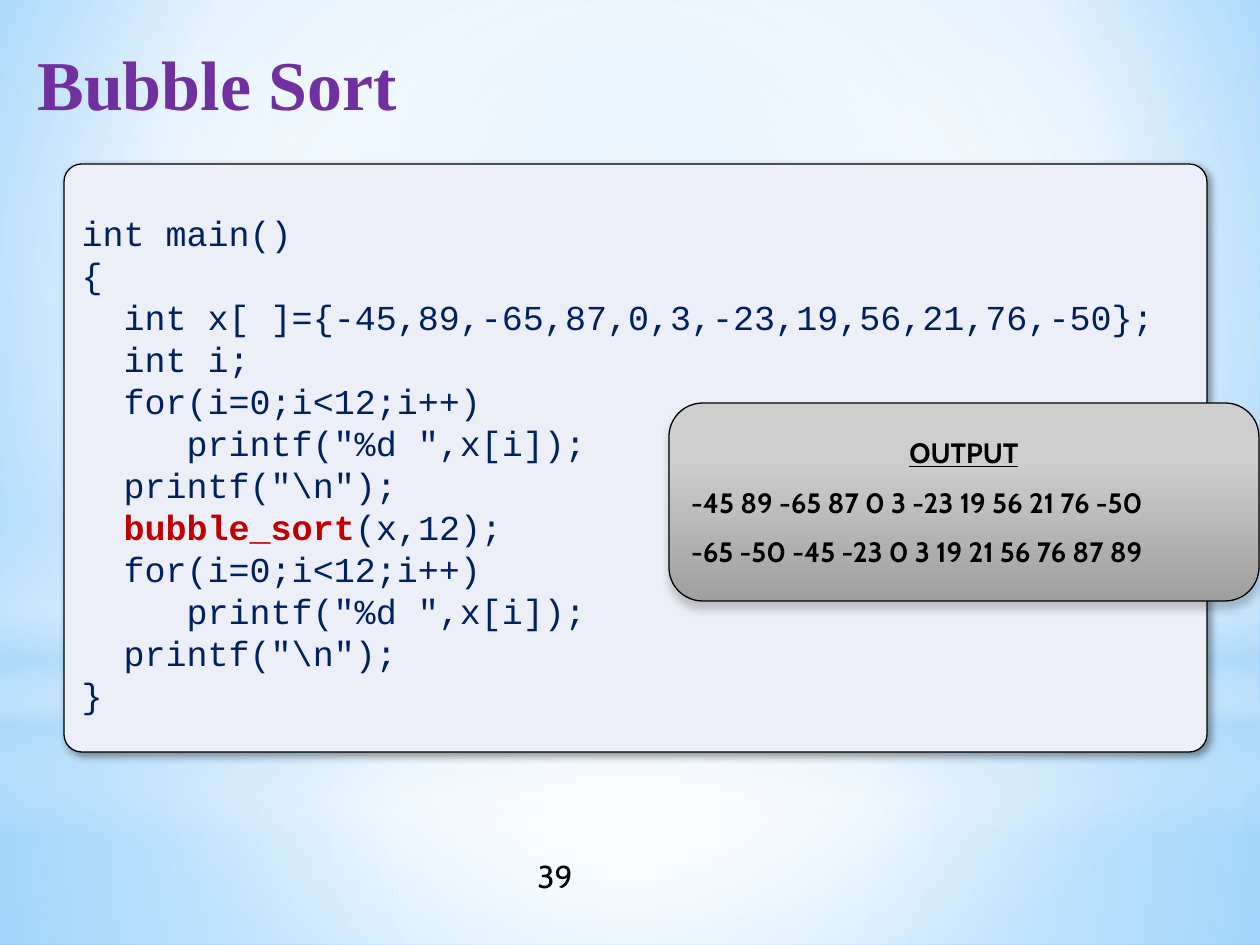
from lxml.etree import SubElement
from pptx import Presentation
from pptx.dml.color import RGBColor
from pptx.enum.shapes import MSO_SHAPE
from pptx.enum.text import MSO_ANCHOR, PP_ALIGN
from pptx.oxml.ns import qn
from pptx.util import Pt

COLORS = {
    "white": "FFFFFF", "black": "000000", "sky": "9ED5FF", "azure": "5BB9FF",
    "haze": "B4DCFA", "purple": "7030A0", "navy": "002060", "red": "C00000",
    "panel": "ECEFF8", "silver": "CECECE", "gray": "9F9F9F",
}
CENTER = (50, 50, 50, 50)
DOWN = 90

# Gradient stops: position %, colour, opacity %
BACKDROP = [(0, "sky", 100), (60, "white", 100), (100, "azure", 100)]
BACKDROP_FOCUS = (20, 10, 20, 60)
GLOWS = [  # shape, place, stops, direction (focus or angle)
    (MSO_SHAPE.RECTANGLE, (0, 703, 1260, 242),
     [(0, "white", 91), (37, "white", 76), (100, "haze", 79)], CENTER),
    (MSO_SHAPE.RECTANGLE, (0, 0, 1260, 703),
     [(0, "white", 89), (48, "white", 62), (100, "haze", 79)], CENTER),
    (MSO_SHAPE.RECTANGLE, (0, 519, 1260, 315),
     [(0, "white", 0), (29, "white", 30), (45, "haze", 40),
      (55, "white", 26), (65, "haze", 60), (100, "white", 0)], DOWN),
    (MSO_SHAPE.OVAL, (0, 220, 1260, 703),
     [(0, "white", 100), (56, "white", 0)], CENTER),
]
OUTPUT_FILL = [(28, "silver", 100), (100, "gray", 100)]

TITLE = "Bubble Sort"
PAGE_NUMBER = "39"
KEYWORD = "bubble_sort"
PRINT_LOOP = [(2, "for(i=0;i<12;i++)"), (5, 'printf("%d ",x[i]);'), (2, 'printf("\\n");')]
CODE = [  # indent in characters, text
    (0, "int main()"),
    (0, "{"),
    (2, "int x[ ]={-45,89,-65,87,0,3,-23,19,56,21,76,-50};"),
    (2, "int i;"),
    *PRINT_LOOP,
    (2, KEYWORD + "(x,12);"),
    *PRINT_LOOP,
    (0, "}"),
]
CHARACTER_WIDTH = 21
OUTPUT = [
    "OUTPUT",
    "-45 89 -65 87 0 3 -23 19 56 21 76 -50",
    "-65 -50 -45 -23 0 3 19 21 56 76 87 89",
]


def px(length):
    return round(length * 914400 / 126)


def color(name):
    return RGBColor.from_string(COLORS[name])


def add_color(parent, name, opacity):
    node = SubElement(parent, qn("a:srgbClr"), val=COLORS[name])
    SubElement(node, qn("a:alpha"), val=str(opacity * 1000))


def set_gradient(fill, properties, stops, direction):
    """Fill with stops; direction is an angle or a focus rectangle in percent."""
    fill.solid()
    solid = properties.find(qn("a:solidFill"))
    gradient = SubElement(properties, qn("a:gradFill"), rotWithShape="1")
    properties.replace(solid, gradient)
    stop_list = SubElement(gradient, qn("a:gsLst"))
    for position, name, opacity in stops:
        stop = SubElement(stop_list, qn("a:gs"), pos=str(position * 1000))
        add_color(stop, name, opacity)
    if isinstance(direction, tuple):
        circle = SubElement(gradient, qn("a:path"), path="circle")
        sides = {side: str(share * 1000) for side, share in zip("ltrb", direction)}
        SubElement(circle, qn("a:fillToRect"), **sides)
    else:
        SubElement(gradient, qn("a:lin"), ang=str(direction * 60000), scaled="0")


def add_shape(page, kind, place):
    shape = page.shapes.add_shape(kind, *map(px, place))
    shape.shadow.inherit = False
    shape.line.fill.background()
    return shape


def add_card(page, place, corner, shadow):
    """Outlined rounded box; shadow is opacity %, blur pt, distance pt, angle."""
    card = add_shape(page, MSO_SHAPE.ROUNDED_RECTANGLE, place)
    card.adjustments[0] = corner
    card.line.color.rgb = color("black")
    card.line.width = Pt(0.75)
    opacity, blur, distance, angle = shadow
    effects = card._element.spPr.find(qn("a:effectLst"))
    outer = SubElement(effects, qn("a:outerShdw"), blurRad=str(Pt(blur)),
                       dist=str(Pt(distance)), dir=str(angle * 60000), rotWithShape="0")
    add_color(outer, "black", opacity)
    card.text_frame.word_wrap = True
    card.text_frame.vertical_anchor = MSO_ANCHOR.MIDDLE
    return card


def style(para, font, size, name, bold=False):
    para.alignment = PP_ALIGN.LEFT
    para.font.name = font
    para.font.size = Pt(size)
    para.font.color.rgb = color(name)
    para.font.bold = bold


def add_paragraphs(frame, count):
    return [frame.paragraphs[0]] + [frame.add_paragraph() for _ in range(count - 1)]


def add_label(page, place, text, *look):
    box = page.shapes.add_textbox(*map(px, place))
    box.text_frame.word_wrap = True
    para = box.text_frame.paragraphs[0]
    para.add_run().text = text
    style(para, *look)
    return box


def add_code(page):
    card = add_card(page, (64, 164, 1143, 588), 0.03, (40, 4, 3, 45))
    card.fill.solid()
    card.fill.fore_color.rgb = color("panel")
    card.text_frame.margin_top = px(18)
    for para, (indent, text) in zip(add_paragraphs(card.text_frame, len(CODE)), CODE):
        style(para, "Courier New", 20, "navy")
        para.line_spacing = Pt(24)
        para._p.get_or_add_pPr().set("marL", str(px(indent * CHARACTER_WIDTH)))
        if text.startswith(KEYWORD):
            span = para.add_run()
            span.text = KEYWORD
            span.font.bold = True
            span.font.color.rgb = color("red")
            text = text.removeprefix(KEYWORD)
        para.add_run().text = text


def add_output(page):
    card = add_card(page, (669, 403, 590, 198), 0.17, (20, 5, 4, 90))
    set_gradient(card.fill, card._element.spPr, OUTPUT_FILL, DOWN)
    paragraphs = add_paragraphs(card.text_frame, len(OUTPUT))
    for para, text in zip(paragraphs, OUTPUT):
        para.add_run().text = text
        style(para, "Cabin", 16, "black", True)
    for para in paragraphs[1:]:
        para.space_before = Pt(9)
    paragraphs[0].alignment = PP_ALIGN.CENTER
    paragraphs[0].font.underline = True


def main():
    deck = Presentation()
    deck.slide_width, deck.slide_height = px(1260), px(945)
    page = deck.slides.add_slide(deck.slide_layouts[6])

    backdrop = page.background.fill
    backdrop.solid()
    properties = page._element.find(".//" + qn("p:bgPr"))
    set_gradient(backdrop, properties, BACKDROP, BACKDROP_FOCUS)
    for kind, place, stops, direction in GLOWS:
        glow = add_shape(page, kind, place)
        set_gradient(glow.fill, glow._element.spPr, stops, direction)

    title = add_label(page, (25, 26, 1201, 129), TITLE, "Times New Roman", 40, "purple", True)
    title.text_frame.margin_top = px(15)
    add_label(page, (525, 851, 252, 50), PAGE_NUMBER, "Cabin", 18, "black")
    add_code(page)
    add_output(page)
    deck.save("out.pptx")


if __name__ == "__main__":
    main()
